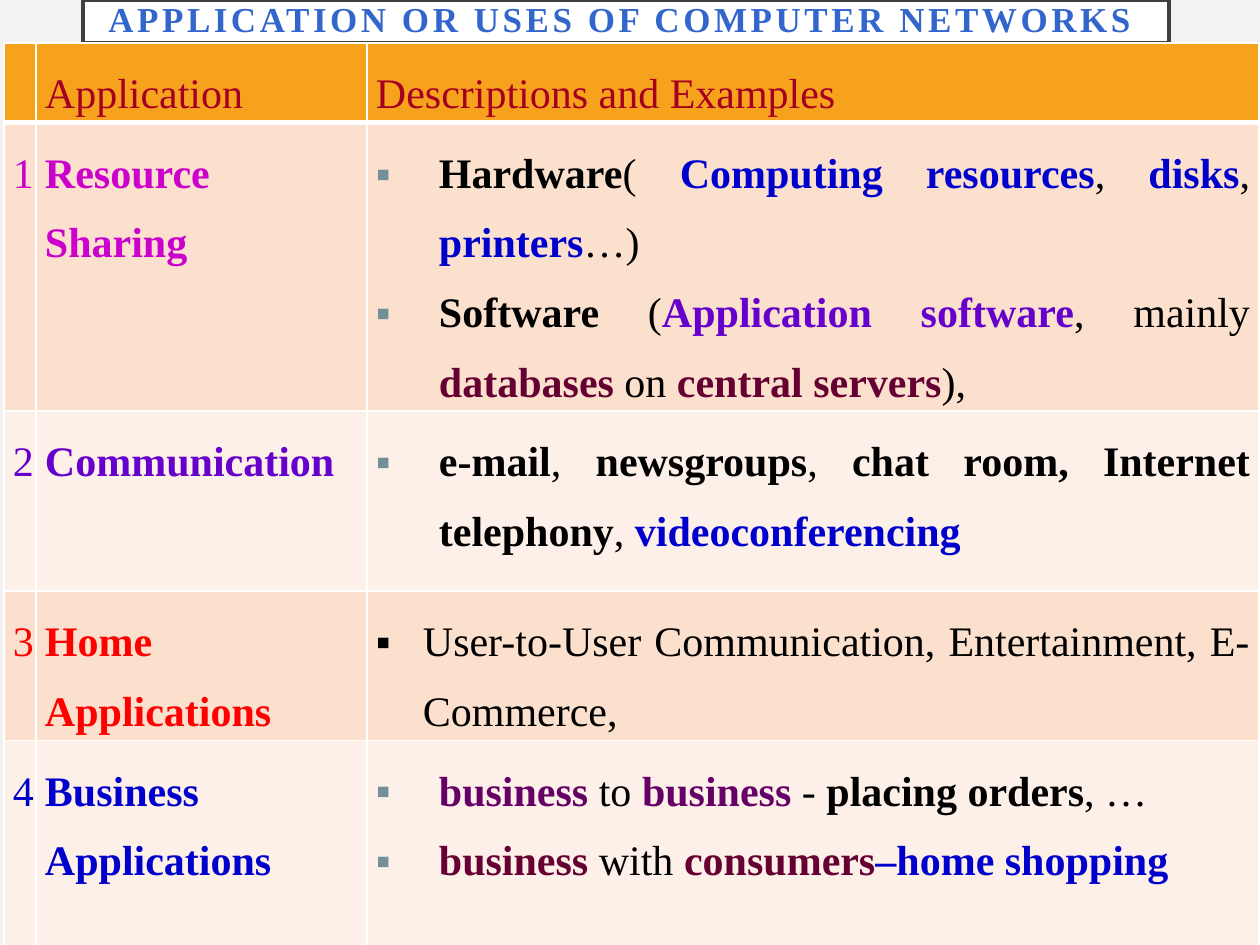
from dataclasses import dataclass

from lxml.etree import SubElement
from pptx import Presentation
from pptx.dml.color import RGBColor
from pptx.enum.shapes import MSO_SHAPE
from pptx.enum.text import MSO_ANCHOR, PP_ALIGN
from pptx.oxml import parse_xml
from pptx.oxml.ns import nsdecls, qn
from pptx.util import Emu, Pt


@dataclass(frozen=True)
class Theme:
    font: str = "Times New Roman"
    title_size: int = 20
    body_size: int = 24
    page: str = "F2F2F2"
    white: str = "FFFFFF"
    frame: str = "404040"
    title: str = "3366CC"
    header: str = "F6A21D"
    header_text: str = "A50021"
    bands: tuple = ("FBE0CD", "FDF0E8")
    bullet: str = "738F97"
    black: str = "000000"
    blue: str = "0000CC"
    violet: str = "6600CC"
    magenta: str = "CC00CC"
    red: str = "FF0000"
    wine: str = "660033"
    purple: str = "660066"


THEME = Theme()
PX = 914400 / 126
COLUMNS = (32, 331, 892)
ROWS = (79, 288, 180, 149, 206)


def px(length):
    return Emu(round(length * PX))


def plain(text, color=THEME.black):
    return text, color, False


def bold(text, color=THEME.black):
    return text, color, True


# Each entry: name, its colour, bullet indent, bullet colour, bullet paragraphs
APPLICATIONS = [
    ("Resource Sharing ", THEME.magenta, 63, THEME.bullet, [
        [bold("Hardware"), plain("( "), bold("Computing resources", THEME.blue),
         plain(", "), bold("disks", THEME.blue), plain(", "),
         bold("printers", THEME.blue), plain("…)")],
        [bold("Software"), plain(" ("), bold("Application software", THEME.violet),
         plain(", mainly "), bold("databases", THEME.wine), plain(" on "),
         bold("central servers", THEME.wine), plain("),")],
    ]),
    ("Communication ", THEME.violet, 63, THEME.bullet, [
        [bold("e-mail"), plain(", "), bold("newsgroups"), plain(", "),
         bold("chat room, Internet telephony"), plain(", "),
         bold("videoconferencing", THEME.blue)],
    ]),
    ("Home Applications", THEME.red, 47, None, [
        [plain("User-to-User Communication, Entertainment, E-Commerce, ")],
    ]),
    ("Business Applications", THEME.blue, 63, THEME.bullet, [
        [bold("business", THEME.purple), plain(" to "),
         bold("business", THEME.purple), plain(" - "),
         bold("placing orders"), plain(", …")],
        [bold("business", THEME.wine), plain(" with "),
         bold("consumers", THEME.wine), bold("–home shopping", THEME.blue)],
    ]),
]


def paint(fill, color):
    fill.solid()
    fill.fore_color.rgb = RGBColor.from_string(color)


def add_span(para, text, color, is_bold, size=THEME.body_size):
    span = para.add_run()
    span.text = text
    span.font.name = THEME.font
    span.font.size = Pt(size)
    span.font.bold = is_bold
    span.font.color.rgb = RGBColor.from_string(color)
    return span


def add_bullet(para, indent, color):
    props = para._p.get_or_add_pPr()
    props.set("marL", str(px(indent)))
    props.set("indent", str(-px(indent)))
    if color:
        SubElement(SubElement(props, qn("a:buClr")), qn("a:srgbClr")).set("val", color)
    SubElement(props, qn("a:buFont")).set("typeface", THEME.font)
    SubElement(props, qn("a:buChar")).set("char", "▪")


def set_borders(cell, bottom):
    props = cell._tc.get_or_add_tcPr()
    for place, side in enumerate("LRTB"):
        width = Pt(bottom if side == "B" else 1)
        props.insert(place, parse_xml(
            f'<a:ln{side} {nsdecls("a")} w="{width}"><a:solidFill>'
            f'<a:srgbClr val="{THEME.white}"/></a:solidFill></a:ln{side}>'))


def fill_cell(cell, color, paragraphs, indent=0, bullet_color=None, bottom=1):
    paint(cell.fill, color)
    set_borders(cell, bottom)
    cell.margin_left = cell.margin_right = px(9)
    cell.margin_top = cell.margin_bottom = px(5)
    frame = cell.text_frame
    for index, spans in enumerate(paragraphs):
        para = frame.add_paragraph() if index else frame.paragraphs[0]
        para.alignment = PP_ALIGN.JUSTIFY
        para.line_spacing = 1.5
        if indent:
            add_bullet(para, indent, bullet_color)
        for span in spans:
            add_span(para, *span)


def add_title(page, text):
    box = page.shapes.add_shape(MSO_SHAPE.RECTANGLE, px(83), 0, px(1086), px(43))
    box.shadow.inherit = False
    paint(box.fill, THEME.white)
    paint(box.line.fill, THEME.frame)
    box.line.width = Pt(2.5)
    frame = box.text_frame
    frame.word_wrap = True
    frame.vertical_anchor = MSO_ANCHOR.MIDDLE
    frame.margin_left = frame.margin_right = px(25)
    frame.margin_top = frame.margin_bottom = px(25)
    para = frame.paragraphs[0]
    para.alignment = PP_ALIGN.CENTER
    para.line_spacing = 0.9
    span = add_span(para, text, THEME.title, True, THEME.title_size)
    span.font._element.set("spc", "200")


def add_applications_table(page):
    table = page.shapes.add_table(len(ROWS), len(COLUMNS), px(4), px(43),
                                  px(sum(COLUMNS)), px(sum(ROWS))).table
    for column, width in zip(table.columns, COLUMNS):
        column.width = px(width)
    for row, height in zip(table.rows, ROWS):
        row.height = px(height)

    # Header row
    for column, heading in enumerate(("", "Application ", "Descriptions and Examples")):
        spans = [plain(heading, THEME.header_text)] if heading else []
        fill_cell(table.cell(0, column), THEME.header, [spans], bottom=3)

    # Numbered rows in alternating bands
    for row, (name, color, indent, bullet, details) in enumerate(APPLICATIONS, 1):
        band = THEME.bands[(row - 1) % 2]
        fill_cell(table.cell(row, 0), band, [[plain(str(row), color)]])
        fill_cell(table.cell(row, 1), band, [[bold(name, color)]])
        fill_cell(table.cell(row, 2), band, details, indent, bullet)


def main():
    deck = Presentation()
    deck.slide_width, deck.slide_height = px(1260), px(945)
    page = deck.slides.add_slide(deck.slide_layouts[6])
    paint(page.background.fill, THEME.page)
    add_title(page, "APPLICATION OR USES OF COMPUTER NETWORKS ")
    add_applications_table(page)
    deck.save("out.pptx")


if __name__ == "__main__":
    main()
